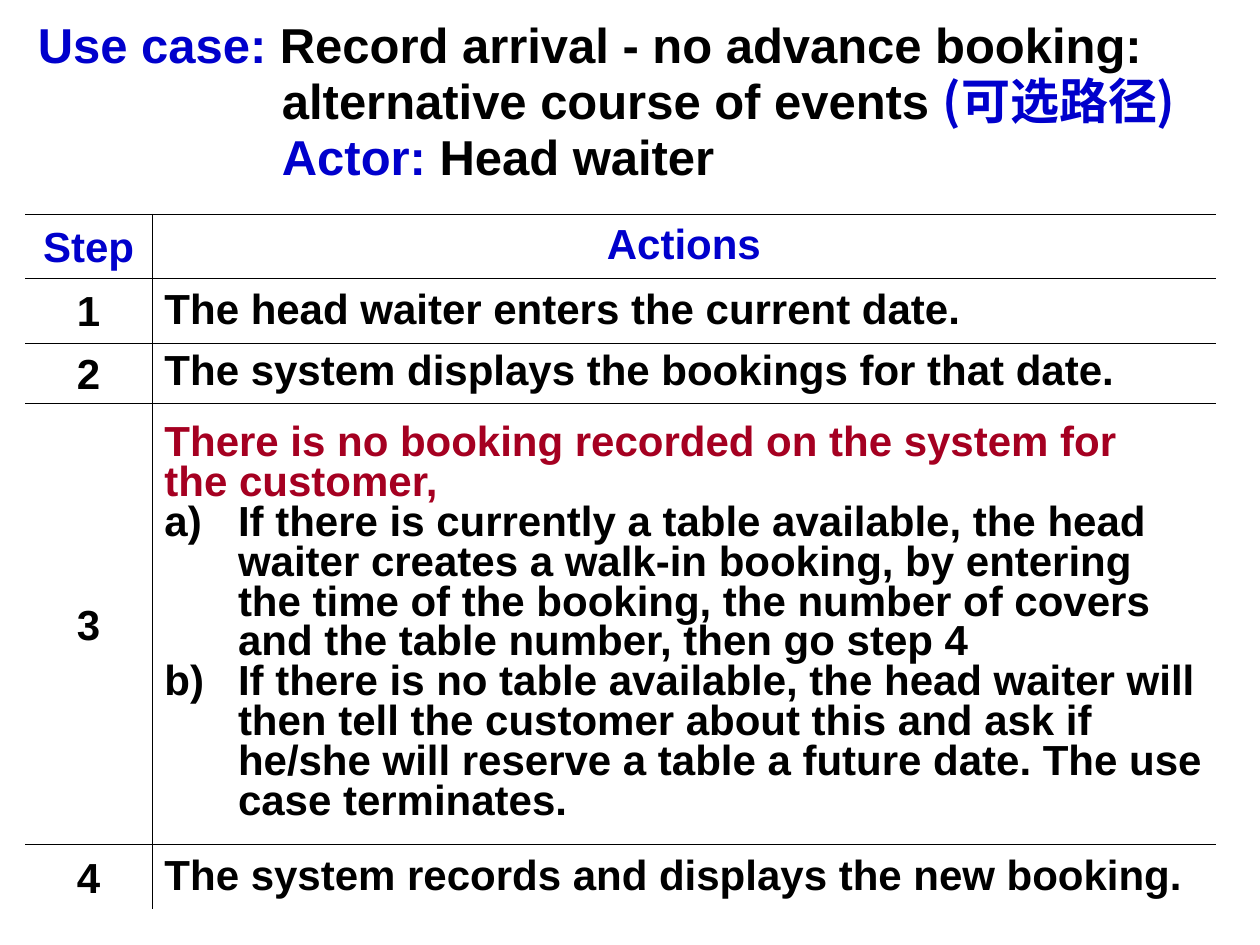
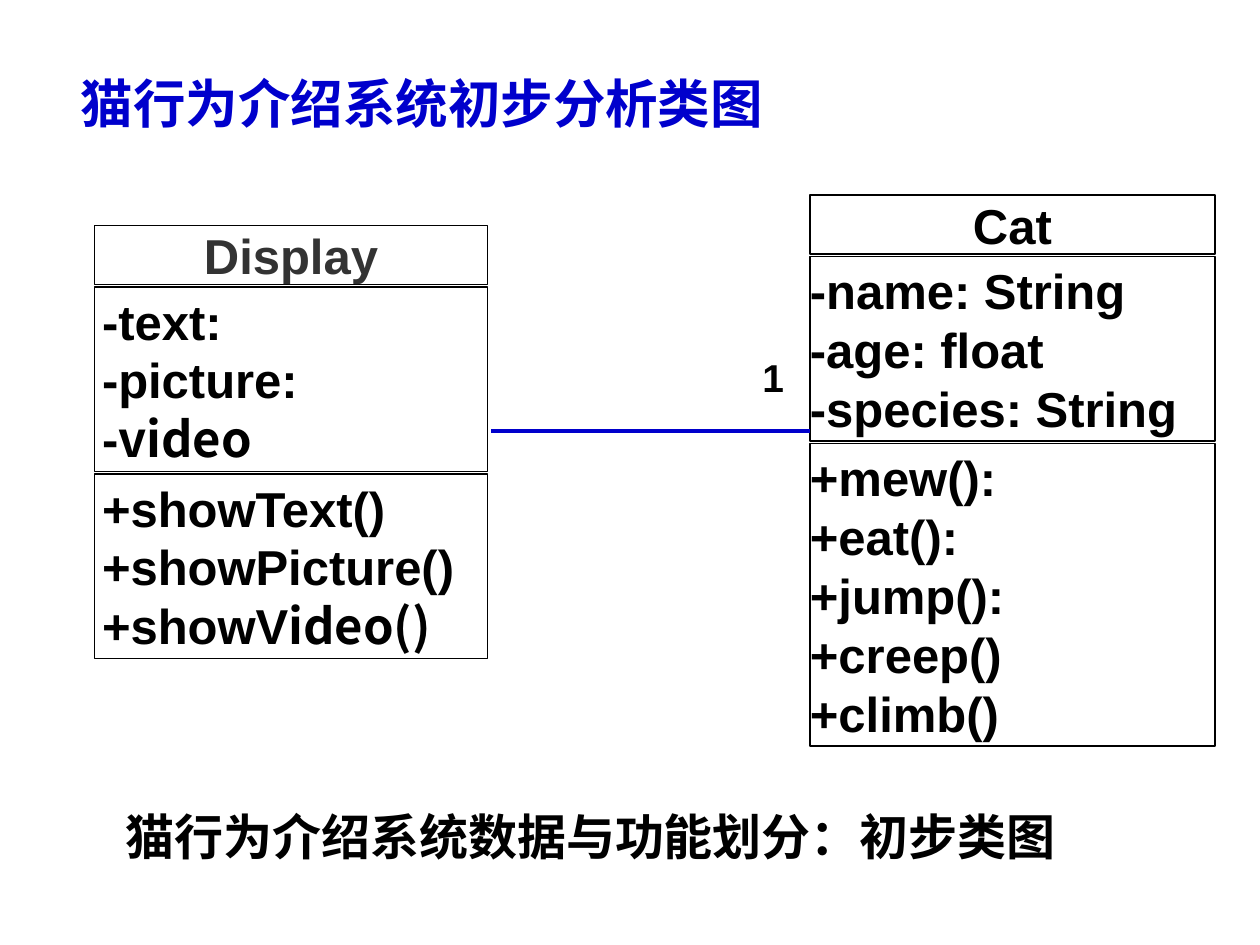
from dataclasses import dataclass

from lxml import etree
from pptx import Presentation
from pptx.dml.color import RGBColor
from pptx.enum.shapes import MSO_CONNECTOR as LINE, MSO_SHAPE as SHAPE
from pptx.enum.text import MSO_ANCHOR as ANCHOR, MSO_AUTO_SIZE as FIT, PP_ALIGN as ALIGN
from pptx.oxml.ns import qn
from pptx.util import Pt


@dataclass(frozen=True)
class Theme:
    blue: str = "0000CC"
    black: str = "000000"
    grey: str = "333333"
    red: str = "A50021"
    white: str = "FFFFFF"
    latin: str = "Arial"
    cjk: str = "Noto Sans CJK SC"
    title: float = 30
    text: float = 28
    table: float = 24
    label: float = 22.2
    border: float = 0.45
    outline: float = 1
    link: float = 2


TH = Theme()
NO_STYLE = "{2D5ABB26-0587-4C30-8999-92F81FD0307C}"
LINE_H = 33.7    # height of one class member
CLASS_GAP = 1.5  # space between class compartments


def color(value):
    return RGBColor.from_string(value)


class Deck:
    def __init__(self):
        self.prs = Presentation()
        self.prs.slide_width, self.prs.slide_height = Pt(720), Pt(540)
        self.slide = None

    def new_slide(self):
        self.slide = self.prs.slides.add_slide(self.prs.slide_layouts[5])

    # Text: each paragraph is a list of (text, colour[, font]) runs
    def runs(self, p, parts, size):
        for text, col, *font in parts:
            r = p.add_run()
            r.text = text
            r.font.size, r.font.bold = Pt(size), True
            r.font.name = font[0] if font else TH.latin
            r.font.color.rgb = color(col)
            ea = etree.SubElement(r.font._element, qn("a:ea"))
            ea.set("typeface", TH.cjk)

    def fill_text(self, tf, paras, size, align=ALIGN.LEFT, spacing=None):
        for i, parts in enumerate(paras):
            p = tf.add_paragraph() if i else tf.paragraphs[0]
            p.alignment = align
            if spacing:
                p.line_spacing = spacing
            self.runs(p, parts, size)

    def frame(self, tf, inset, anchor):
        tf.word_wrap, tf.auto_size = True, FIT.NONE
        tf.margin_left = tf.margin_right = Pt(inset[0])
        tf.margin_top = tf.margin_bottom = Pt(inset[1])
        tf.vertical_anchor = anchor

    def indent(self, p, left, first=0, number=None):
        pPr = p._p.get_or_add_pPr()
        pPr.set("marL", str(Pt(left)))
        pPr.set("indent", str(Pt(first)))
        if number:
            etree.SubElement(pPr, qn("a:buAutoNum")).set("type", number)

    def title(self, box, paras, size, anchor=ANCHOR.MIDDLE, spacing=None):
        sp = self.slide.shapes.title
        sp.left, sp.top, sp.width, sp.height = map(Pt, box)
        self.frame(sp.text_frame, (7.2, 3.6), anchor)
        self.fill_text(sp.text_frame, paras, size, spacing=spacing)
        return sp.text_frame

    def caption(self, box, paras):
        sp = self.slide.shapes.add_textbox(*map(Pt, box))
        self.frame(sp.text_frame, (7.2, 3.6), ANCHOR.TOP)
        self.fill_text(sp.text_frame, paras, TH.text)

    def rect(self, box, paras, size=TH.text, inset=(0, 0), align=ALIGN.LEFT,
             anchor=ANCHOR.MIDDLE, outline=True):
        sp = self.slide.shapes.add_shape(SHAPE.RECTANGLE, *map(Pt, box))
        sp.shadow.inherit = False
        sp.fill.solid()
        sp.fill.fore_color.rgb = color(TH.white)
        if outline:
            sp.line.color.rgb = color(TH.black)
            sp.line.width = Pt(TH.outline)
        else:
            sp.line.fill.background()
        self.frame(sp.text_frame, inset, anchor)
        self.fill_text(sp.text_frame, paras, size, align)

    def class_box(self, x, y, w, name, groups, inset):
        self.rect((x, y, w, LINE_H), [[name]], align=ALIGN.CENTER)
        y += LINE_H + CLASS_GAP
        for members in groups:
            h = LINE_H * len(members) + 4.3
            self.rect((x, y, w, h), members, inset=(inset, 2.2))
            y += h + CLASS_GAP

    def link(self, x1, y1, x2, y2):
        cn = self.slide.shapes.add_connector(LINE.STRAIGHT, *map(Pt, (x1, y1, x2, y2)))
        cn.line.color.rgb = color(TH.blue)
        cn.line.width = Pt(TH.link)
        etree.SubElement(cn._element.spPr, qn("a:effectLst"))

    # Table: thin inner rules and a top rule
    def borders(self, cell, sides):
        tcPr = cell._tc.get_or_add_tcPr()
        for i, side in enumerate(sides):
            ln = etree.Element(qn("a:ln" + side), w=str(Pt(TH.border)))
            fill = etree.SubElement(ln, qn("a:solidFill"))
            etree.SubElement(fill, qn("a:srgbClr"), val=TH.black)
            tcPr.insert(i, ln)

    def table(self, x, y, widths, heights, rows):
        tb = self.slide.shapes.add_table(
            len(rows), len(widths), Pt(x), Pt(y), Pt(sum(widths)), Pt(sum(heights))).table
        tb.first_row = tb.horz_banding = False
        tb._tbl.tblPr.find(qn("a:tableStyleId")).text = NO_STYLE
        for column, w in zip(tb.columns, widths):
            column.width = Pt(w)
        for i, (row, h) in enumerate(zip(rows, heights)):
            tb.rows[i].height = Pt(h)
            for j, (paras, spacing, extra) in enumerate(row):
                cell = tb.cell(i, j)
                cell.vertical_anchor = ANCHOR.MIDDLE
                cell.margin_top = Pt(3.6 + extra)
                cell.fill.background()
                centred = i == 0 or j == 0
                self.fill_text(cell.text_frame, paras, TH.table,
                               ALIGN.CENTER if centred else ALIGN.LEFT, spacing)
                last = i == len(rows) - 1
                self.borders(cell, ("L" if j else "R") + ("T" if last else "TB"))
        return tb


def use_case_slide(d):
    d.new_slide()
    # Heading
    tf = d.title((14.4, 7.2, 680.4, 103), [
        [("Use case: ", TH.blue), ("Record arrival - no advance booking:", TH.black)],
        [("alternative course of events ", TH.black), ("(可选路径)", TH.blue, TH.cjk)],
        [("Actor: ", TH.blue), ("Head waiter", TH.black)],
    ], TH.text, ANCHOR.TOP, 0.95)
    d.indent(tf.paragraphs[1], 139.5)

    # Steps and actions
    no_booking = [
        [("There is no booking recorded on the system for", TH.red)],
        [("the customer,", TH.red)],
        [("If there is currently a table available, the head waiter creates a "
          "walk-in booking, by entering the time of the booking, the number of "
          "covers and the table number, then go step 4", TH.black)],
        [("If there is no table available, the head waiter will then tell the "
          "customer about this and ask if he/she will reserve a table a future "
          "date. The use case terminates.", TH.black)],
    ]
    actions = [
        ([[("The head waiter enters the current date.", TH.black)]], 0.8, 3),
        ([[("The system displays the bookings for that date.", TH.black)]], 0.85, 0),
        (no_booking, 0.85, 0),
        ([[("The system records and displays the new booking.", TH.black)]], 0.8, 3),
    ]
    rows = [[([[("Step", TH.blue)]], 0.8, 6), ([[("Actions", TH.blue)]], 0.8, 3)]]
    rows += [[([[(str(n), TH.black)]], 0.8, 6), action]
             for n, action in enumerate(actions, 1)]
    tb = d.table(14.4, 122.4, (72.4, 608), (36.4, 37.2, 34, 252, 36.6), rows)
    for p in tb.cell(3, 1).text_frame.paragraphs[2:]:
        d.indent(p, 42, -42, "alphaLcParenR")


def class_diagram_slide(d):
    d.new_slide()
    d.title((38.9, 36.7, 424, 43.2),
            [[("猫行为介绍系统初步分析类图", TH.blue, TH.cjk)]], TH.title)

    # Classes
    def plain(*names):
        return [[(name, TH.black)] for name in names]

    d.class_box(462.8, 111.4, 231.4, ("Cat", TH.black), [
        plain("-name: String", "-age: float", "-species: String"),
        plain("+mew():", "+eat():", "+jump():", "+creep()", "+climb()"),
    ], 0)
    d.class_box(54, 128.9, 224.6, ("Display", TH.grey), [
        plain("-text:", "-picture:") + [[("-", TH.black), ("video", TH.black, TH.cjk)]],
        plain("+showText()", "+showPicture()")
        + [[("+showV", TH.black), ("ideo()", TH.black, TH.cjk)]],
    ], 4.3)

    # Association and caption
    d.link(280.8, 246.3, 462.8, 246.3)
    d.rect((435.6, 202.3, 20.9, 28), plain("1"), TH.label,
           anchor=ANCHOR.TOP, outline=False)
    d.caption((64.8, 457.2, 628.6, 41),
              [[("猫行为介绍系统数据与功能划分：初步类图", TH.black, TH.cjk)]])


def main():
    d = Deck()
    use_case_slide(d)
    class_diagram_slide(d)
    d.prs.save("out.pptx")


if __name__ == "__main__":
    main()
